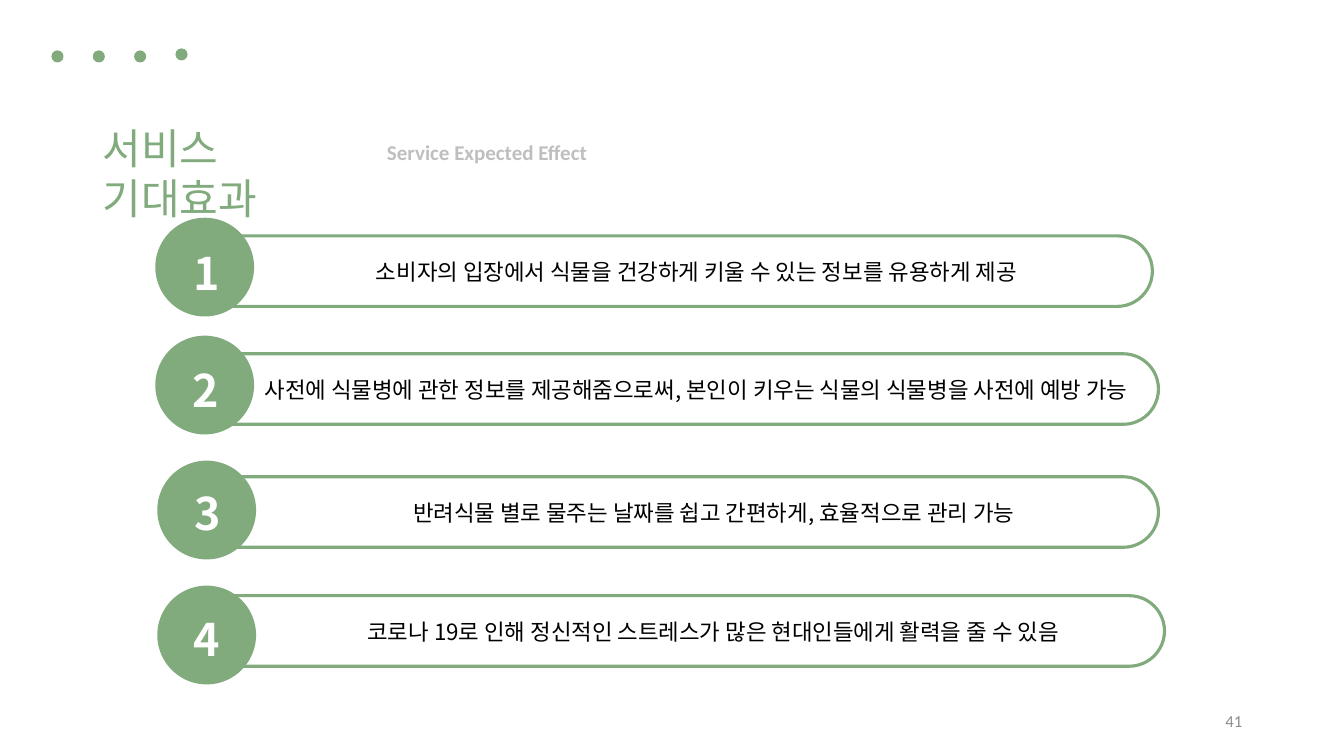
from pptx import Presentation
from pptx.dml.color import RGBColor
from pptx.enum import shapes, text
from pptx.util import Inches, Pt

GREEN = RGBColor(0x81, 0xAB, 0x7D)
WHITE = RGBColor(0xFF, 0xFF, 0xFF)
BLACK = RGBColor(0x00, 0x00, 0x00)
SILVER = RGBColor(0xBF, 0xBF, 0xBF)
GRAY = RGBColor(0x8C, 0x8C, 0x8C)
KOREAN = "Noto Sans CJK KR"
LATIN = "Calibri"

deck = Presentation()
deck.slide_width, deck.slide_height = Inches(13.33), Inches(7.5)
page = deck.slides.add_slide(deck.slide_layouts[6])


def add_text(words, left, top, width, height, size, color, font=KOREAN,
             bold=False, align=text.PP_ALIGN.LEFT, anchor=text.MSO_ANCHOR.TOP):
    box = page.shapes.add_textbox(Inches(left), Inches(top), Inches(width), Inches(height))
    frame = box.text_frame
    frame.word_wrap = True
    frame.vertical_anchor = anchor
    para = frame.paragraphs[0]
    para.alignment = align
    span = para.add_run()
    span.text = words
    span.font.name = font
    span.font.size = Pt(size)
    span.font.bold = bold
    span.font.color.rgb = color
    if font == KOREAN:
        # Tight lines, with the inset lowering the text to its optical middle
        para.line_spacing = Pt(size * 1.2)
        frame.margin_top = Inches(0.05 + 0.0012 * size)
        east_asian = span.font._element.makeelement(
            "{http://schemas.openxmlformats.org/drawingml/2006/main}ea", {"typeface": font})
        span.font._element.append(east_asian)


def add_filled(kind, left, top, width, height, fill, outline=None):
    shape = page.shapes.add_shape(kind, Inches(left), Inches(top), Inches(width), Inches(height))
    shape.shadow.inherit = False
    shape.fill.solid()
    shape.fill.fore_color.rgb = fill
    if outline is None:
        shape.line.fill.background()
    else:
        shape.line.color.rgb = outline
        shape.line.width = Pt(2.25)
    return shape


# Header
add_text("서비스 기대효과", 0.92, 1.13, 2.9, 0.61, 30, GREEN)
for index, dot_top in enumerate((0.5, 0.5, 0.5, 0.48)):
    add_filled(shapes.MSO_SHAPE.OVAL, 0.51 + 0.41 * index, dot_top, 0.12, 0.12, GREEN)
add_text("Service Expected Effect", 3.74, 1.33, 2.3, 0.35, 15, SILVER, font=LATIN, bold=True)

# Each effect: bar (left, top, width), circle (left, top), number (left, top, width),
# sentence (left, top, width), wording
effects = [
    ((1.96, 2.34, 9.47), (1.54, 2.16), (1.82, 2.35, 0.55), (2.81, 2.49, 8.2),
     "소비자의 입장에서 식물을 건강하게 키울 수 있는 정보를 유용하게 제공"),
    ((1.75, 3.51, 9.74), (1.54, 3.33), (1.81, 3.51, 0.45), (2.19, 3.66, 9.43),
     "사전에 식물병에 관한 정보를 제공해줌으로써, 본인이 키우는 식물의 식물병을 사전에 예방 가능"),
    ((2.02, 4.73, 9.47), (1.56, 4.57), (1.83, 4.73, 0.55), (2.98, 4.88, 8.2),
     "반려식물 별로 물주는 날짜를 쉽고 간편하게, 효율적으로 관리 가능"),
    ((1.81, 5.91, 9.74), (1.56, 5.81), (1.82, 5.98, 0.45), (2.36, 6.06, 9.43),
     "코로나 19로 인해 정신적인 스트레스가 많은 현대인들에게 활력을 줄 수 있음"),
]
for number, (bar_at, circle_at, number_at, sentence_at, sentence) in enumerate(effects, 1):
    bar = add_filled(shapes.MSO_SHAPE.ROUNDED_RECTANGLE, *bar_at, 0.7, WHITE, outline=GREEN)
    bar.adjustments[0] = 0.5
    add_filled(shapes.MSO_SHAPE.OVAL, *circle_at, 0.98, 0.98, GREEN)
    add_text(str(number), *number_at, 0.64, 32, WHITE, bold=True)
    add_text(sentence, *sentence_at, 0.37, 16, BLACK, align=text.PP_ALIGN.CENTER)

# Page number
add_text("41", 9.42, 6.95, 3, 0.4, 12, GRAY, font=LATIN,
         align=text.PP_ALIGN.RIGHT, anchor=text.MSO_ANCHOR.MIDDLE)

deck.save("out.pptx")
